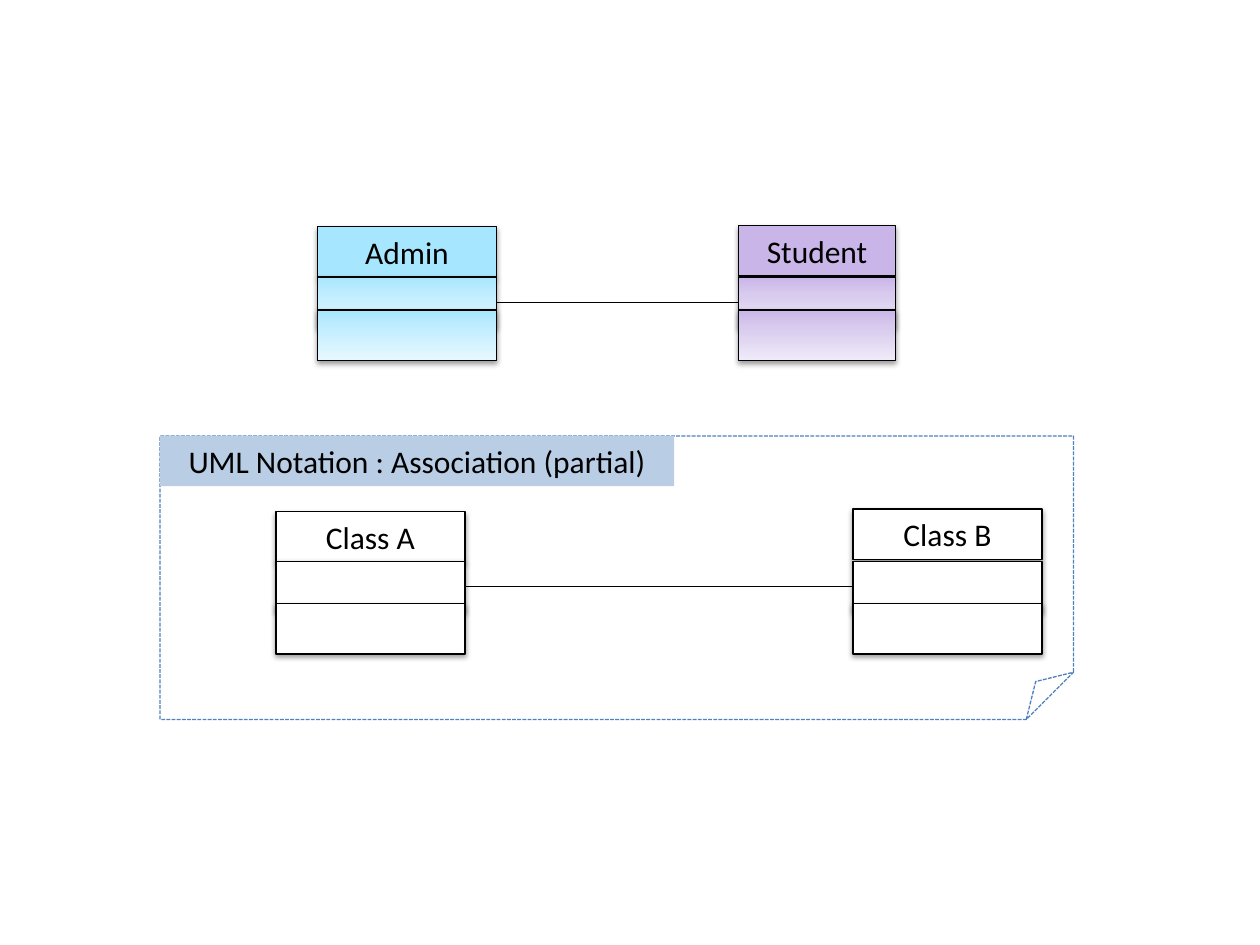
from dataclasses import dataclass

from lxml import etree
from pptx import Presentation
from pptx import util as u
from pptx.dml.color import RGBColor
from pptx.enum import dml, shapes, text
from pptx.oxml import parse_xml
from pptx.oxml.ns import nsdecls, qn

# The slide is a grid of 100 columns by 75 rows.
CELL = u.Inches(0.1)
ROW = 4


@dataclass(frozen=True)
class Theme:
    font: str = "Calibri"
    size: float = 18
    line: float = 0.75
    ink: str = "000000"
    edge: str = "4F81BD"
    label: str = "B9CDE5"
    blue: tuple = ("A7E6FF", "C1EDFF", "E7F8FF")
    lilac: tuple = ("C9B5E8", "D8CBEE", "F0EAF9")
    white: tuple = ("FFFFFF",)


@dataclass(frozen=True)
class Node:
    """A class box: its name, columns, the top row of each part, and tints."""
    name: str
    left: float
    width: float
    tops: tuple
    tints: tuple


THEME = Theme()
ADMIN = Node("Admin", 25.2, 14.2, (18, 22, 24.6), THEME.blue)
STUDENT = Node("Student", 58.6, 12.5, (17.9, 22, 24.6), THEME.lilac)
CLASS_A = Node("Class A", 21.9, 15, (40.6, 44.55, 47.9), THEME.white)
CLASS_B = Node("Class B", 67.7, 15, (40.4, 44.55, 47.9), THEME.white)
PAIRS = ((ADMIN, STUDENT), (CLASS_A, CLASS_B))


def add_box(slide, left: float, top: float, wide: float, high: float,
            kind=shapes.MSO_SHAPE.RECTANGLE):
    box = slide.shapes.add_shape(
        kind, *(round(n * CELL) for n in (left, top, wide, high)))
    box.shadow.inherit = False
    return box


def set_solid(box, tint: str) -> None:
    box.fill.solid()
    box.fill.fore_color.rgb = RGBColor.from_string(tint)


def set_fade(box, tints: tuple) -> None:
    """Fill from top to bottom with three tints."""
    box.fill.gradient()
    box.fill.gradient_angle = 270
    stops = box._element.spPr.find(qn("a:gradFill")).find(qn("a:gsLst"))
    for stop in list(stops):
        stops.remove(stop)
    for share, tint in zip((0, 35, 100), tints):
        stops.append(parse_xml(
            f'<a:gs {nsdecls("a")} pos="{share * 1000}">'
            f'<a:srgbClr val="{tint}"/></a:gs>'))


def set_line(item, tint: str) -> None:
    item.line.color.rgb = RGBColor.from_string(tint)
    item.line.width = u.Pt(THEME.line)


def set_shade(box) -> None:
    """Cast a soft shadow straight down."""
    box._element.spPr.find(qn("a:effectLst")).append(parse_xml(
        f'<a:outerShdw {nsdecls("a")} blurRad="40000" dist="20000" '
        f'dir="5400000" rotWithShape="0"><a:srgbClr val="{THEME.ink}">'
        '<a:alpha val="38000"/></a:srgbClr></a:outerShdw>'))


def set_text(box, words: str) -> None:
    frame = box.text_frame
    frame.text = words
    frame.word_wrap = True
    frame.auto_size = text.MSO_AUTO_SIZE.SHAPE_TO_FIT_TEXT
    frame.vertical_anchor = text.MSO_ANCHOR.MIDDLE
    para = frame.paragraphs[0]
    para.alignment = text.PP_ALIGN.CENTER
    para.font.name = THEME.font
    para.font.size = u.Pt(THEME.size)
    para.font.color.rgb = RGBColor.from_string(THEME.ink)


def add_node(slide, node: Node):
    """Draw the three parts of a class and return the middle one."""
    parts = [add_box(slide, node.left, top, node.width, ROW)
             for top in node.tops]
    for part in parts:
        if part is parts[0] or len(node.tints) == 1:
            set_solid(part, node.tints[0])
        else:
            set_fade(part, node.tints)
        set_line(part, THEME.ink)
        set_shade(part)
    set_text(parts[0], node.name)
    return parts[1]


def add_link(slide, start, end) -> None:
    """Join the right side of one box to the left side of another."""
    link = slide.shapes.add_connector(shapes.MSO_CONNECTOR.ELBOW, 0, 0, 0, 0)
    link.begin_connect(start, 3)
    link.end_connect(end, 1)
    set_line(link, THEME.ink)
    etree.SubElement(link._element.spPr, qn("a:effectLst"))


def add_note(slide) -> None:
    note = add_box(slide, 12.7, 34.6, 72.5, 22.5,
                   shapes.MSO_SHAPE.FOLDED_CORNER)
    note.fill.background()
    set_line(note, THEME.edge)
    note.line.dash_style = dml.MSO_LINE.SQUARE_DOT
    label = add_box(slide, 12.7, 34.6, 40.8, ROW)
    set_solid(label, THEME.label)
    label.line.fill.background()
    set_text(label, "UML Notation : Association (partial)")


def main() -> None:
    deck = Presentation()
    deck.slide_width, deck.slide_height = 100 * CELL, 75 * CELL
    slide = deck.slides.add_slide(deck.slide_layouts[6])
    add_note(slide)
    for pair in PAIRS:
        add_link(slide, *(add_node(slide, node) for node in pair))
    deck.save("out.pptx")


if __name__ == "__main__":
    main()
